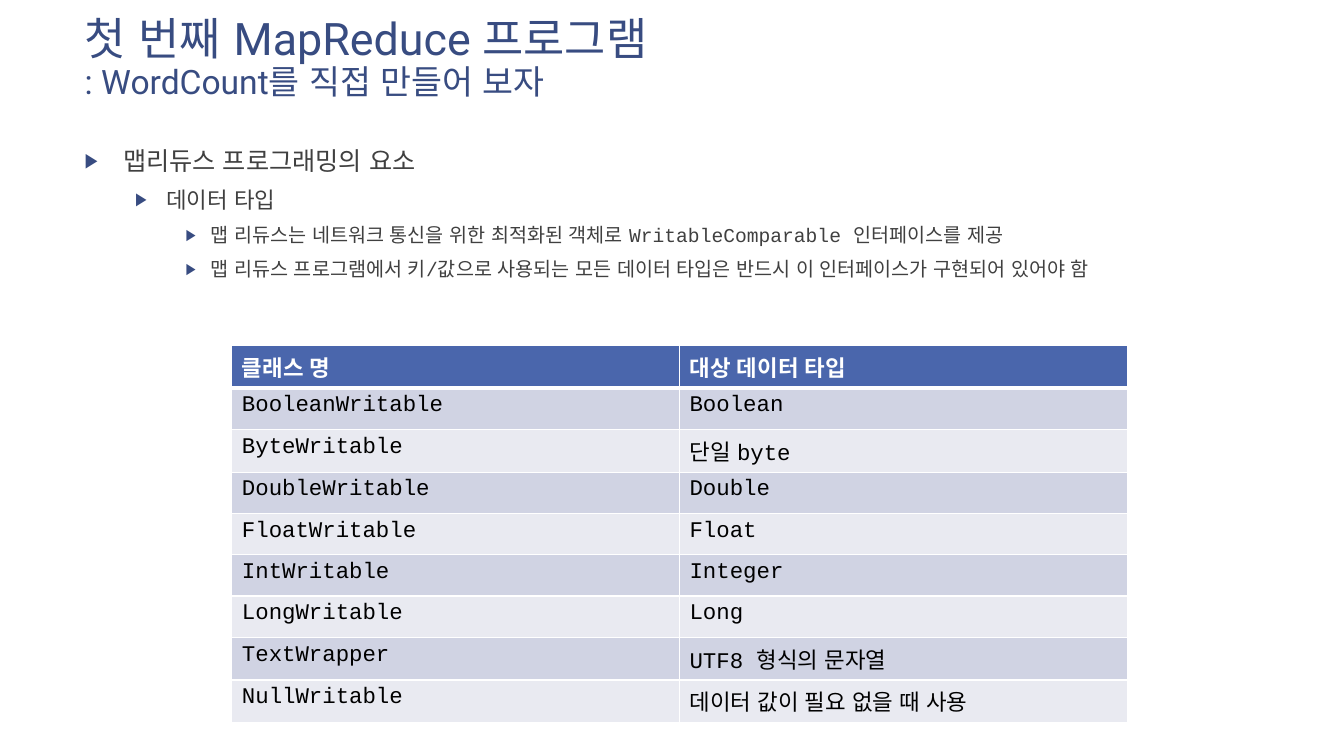
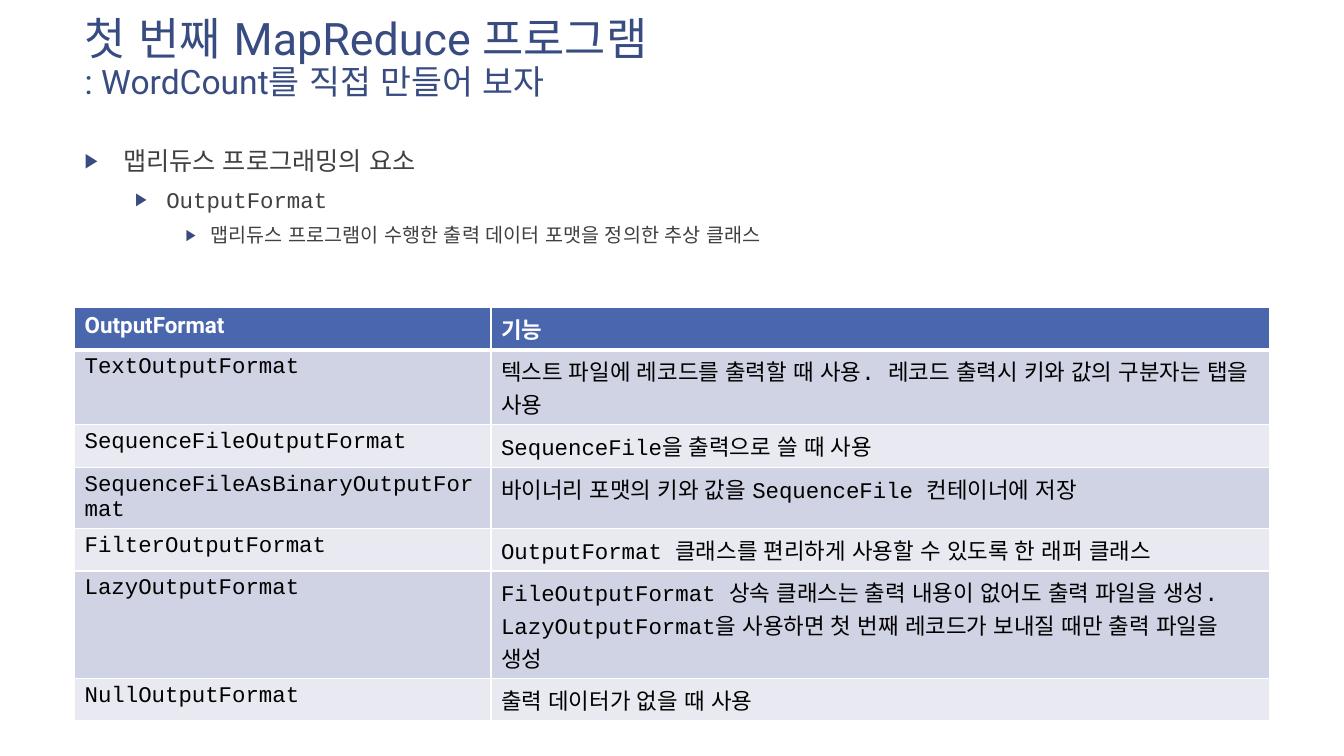
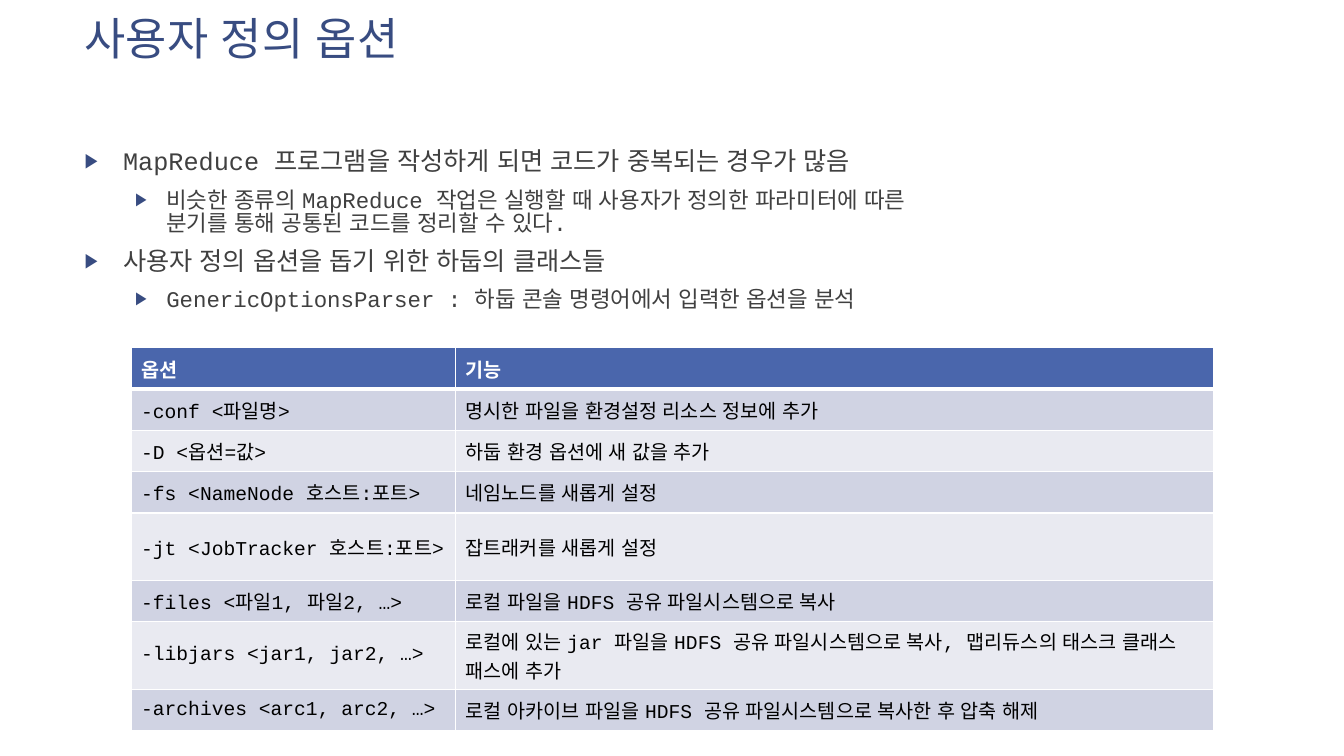
import copy
import dataclasses

import pptx
import pptx.dml.color
import pptx.enum.lang
import pptx.enum.text
import pptx.oxml
import pptx.oxml.ns
import pptx.util

PX = 9144  # 100 px to the inch


@dataclasses.dataclass(frozen=True)
class Theme:
    navy: str = "384C81"
    blue: str = "4A66AC"
    bands: tuple = ("D0D3E3", "E9EAF1")
    grey: str = "404040"
    black: str = "000000"
    white: str = "FFFFFF"
    sans: str = "Roboto"
    mono: str = "Courier New"
    head: int = 32
    sub: int = 24
    list: tuple = (18, 16, 14)
    indent: tuple = ((38, -38), (81, -31), (125, -25))


T = Theme()
rgb = pptx.dml.color.RGBColor.from_string
qn = pptx.oxml.ns.qn


def write(para, text, size, color, font=T.mono, bold=False):
    """Add text to a paragraph; each newline becomes a line break of the same format."""
    for i, line in enumerate(text.split("\n")):
        if i:
            para.add_line_break()
            para._p[-1].append(copy.deepcopy(run._r.rPr))
        run = para.add_run()
        run.text = line
        style = run.font
        style.name, style.size, style.bold = font, pptx.util.Pt(size), bold
        style.color.rgb = rgb(color)
        style.language_id = pptx.enum.lang.MSO_LANGUAGE_ID.KOREAN


def add_xml(parent, xml):
    space = pptx.oxml.ns.nsdecls("a")
    parent.append(pptx.oxml.parse_xml(xml.replace(" ", f" {space} ", 1)))


COUNT = ("첫 번째 MapReduce 프로그램\n", ": WordCount를 직접 만들어 보자")

PAGES = [
    dict(
        title=COUNT,
        body=(1075, 615),
        items=[
            (0, "맵리듀스 프로그래밍의 요소"),
            (1, "데이터 타입"),
            (2, "맵 리듀스는 네트워크 통신을 위한 최적화된 객체로 WritableComparable 인터페이스를 제공"),
            (2, "맵 리듀스 프로그램에서 키/값으로 사용되는 모든 데이터 타입은 반드시 이 인터페이스가 구현되어 있어야 함"),
        ],
        at=(230, 343), cols=(444, 444), size=16, anchor="TOP",
        rows=[
            ("클래스 명", "대상 데이터 타입"),
            ("BooleanWritable", "Boolean"),
            ("ByteWritable", "단일 byte"),
            ("DoubleWritable", "Double"),
            ("FloatWritable", "Float"),
            ("IntWritable", "Integer"),
            ("LongWritable", "Long"),
            ("TextWrapper", "UTF8 형식의 문자열"),
            ("NullWritable", "데이터 값이 필요 없을 때 사용"),
        ],
    ),
    dict(
        title=COUNT,
        body=(1075, 615),
        items=[
            (0, "맵리듀스 프로그래밍의 요소"),
            (1, "OutputFormat"),
            (2, "맵리듀스 프로그램이 수행한 출력 데이터 포맷을 정의한 추상 클래스"),
        ],
        at=(74, 305), cols=(413, 772), size=16, anchor="TOP",
        rows=[
            ("OutputFormat", "기능"),
            ("TextOutputFormat", "텍스트 파일에 레코드를 출력할 때 사용. 레코드 출력시 키와 값의 구분자는 탭을 사용"),
            ("SequenceFileOutputFormat", "SequenceFile을 출력으로 쓸 때 사용"),
            ("SequenceFileAsBinaryOutputFormat", "바이너리 포맷의 키와 값을 SequenceFile 컨테이너에 저장"),
            ("FilterOutputFormat", "OutputFormat 클래스를 편리하게 사용할 수 있도록 한 래퍼 클래스"),
            ("LazyOutputFormat", "FileOutputFormat 상속 클래스는 출력 내용이 없어도 출력 파일을 생성. "
             "LazyOutputFormat을 사용하면 첫 번째 레코드가 보내질 때만 출력 파일을 생성"),
            ("NullOutputFormat", "출력 데이터가 없을 때 사용"),
        ],
    ),
    dict(
        title=("사용자 정의 옵션",),
        body=(940, 516),
        items=[
            (0, "MapReduce 프로그램을 작성하게 되면 코드가 중복되는 경우가 많음"),
            (1, "비슷한 종류의 MapReduce 작업은 실행할 때 사용자가 정의한 파라미터에 따른\n"
             "분기를 통해 공통된 코드를 정리할 수 있다."),
            (0, "사용자 정의 옵션을 돕기 위한 하둡의 클래스들"),
            (1, "GenericOptionsParser : 하둡 콘솔 명령어에서 입력한 옵션을 분석"),
        ],
        at=(130, 345), cols=(322, 752), size=14, anchor="MIDDLE",
        rows=[
            ("옵션", "기능"),
            ("-conf <파일명>", "명시한 파일을 환경설정 리소스 정보에 추가"),
            ("-D <옵션=값>", "하둡 환경 옵션에 새 값을 추가"),
            ("-fs <NameNode 호스트:포트>", "네임노드를 새롭게 설정"),
            ("-jt <JobTracker 호스트:포트>", "잡트래커를 새롭게 설정"),
            ("-files <파일1, 파일2, …>", "로컬 파일을 HDFS 공유 파일시스템으로 복사"),
            ("-libjars <jar1, jar2, …>", "로컬에 있는 jar 파일을 HDFS 공유 파일시스템으로 복사, "
             "맵리듀스의 태스크 클래스 패스에 추가"),
            ("-archives <arc1, arc2, …>", "로컬 아카이브 파일을 HDFS 공유 파일시스템으로 복사한 후 압축 해제"),
        ],
    ),
]

deck = pptx.Presentation()
deck.slide_width, deck.slide_height = 1333 * PX, 750 * PX

for page in PAGES:
    slide = deck.slides.add_slide(deck.slide_layouts[1])
    title, body = slide.placeholders
    for holder, box in ((title, (74, 12, 940, 132)), (body, (74, 144, *page["body"]))):
        holder.left, holder.top, holder.width, holder.height = [n * PX for n in box]
        holder.text_frame.word_wrap = True
        holder.text_frame.auto_size = pptx.enum.text.MSO_AUTO_SIZE.NONE
        holder.text_frame.vertical_anchor = pptx.enum.text.MSO_ANCHOR.TOP

    # Title, with a smaller second line
    para = title.text_frame.paragraphs[0]
    para.alignment = pptx.enum.text.PP_ALIGN.LEFT
    para.line_spacing = 0.9
    for text, size in zip(page["title"], (T.head, T.sub)):
        write(para, text, size, T.navy, font=T.sans)

    # Bulleted list
    frame = body.text_frame
    for i, (level, text) in enumerate(page["items"]):
        para = frame.add_paragraph() if i else frame.paragraphs[0]
        para.level = level
        para.line_spacing = 0.85
        para.space_before = pptx.util.Pt(10)
        props = para._p.get_or_add_pPr()
        left, hang = T.indent[level]
        props.set("marL", str(left * PX))
        props.set("indent", str(hang * PX))
        add_xml(props, f'<a:buClr ><a:srgbClr val="{T.navy}"/></a:buClr>')
        add_xml(props, '<a:buSzPct val="80000"/>')
        add_xml(props, '<a:buFont typeface="Arial"/>')
        add_xml(props, '<a:buChar char="▶"/>')
        write(para, text, T.list[level], T.grey)

    # Table
    rows, cols = page["rows"], page["cols"]
    left, top = page["at"]
    table = slide.shapes.add_table(
        len(rows), len(cols), left * PX, top * PX, sum(cols) * PX, 41 * len(rows) * PX
    ).table
    for col, width in zip(table.columns, cols):
        col.width = width * PX
    for r, row in enumerate(rows):
        look = dict(color=T.black) if r else dict(color=T.white, font=T.sans, bold=True)
        for c, text in enumerate(row):
            cell = table.cell(r, c)
            cell.vertical_anchor = pptx.enum.text.MSO_ANCHOR[page["anchor"]]
            write(cell.text_frame.paragraphs[0], text, page["size"], **look)
            props = cell._tc.get_or_add_tcPr()
            for side in "LRTB":
                thick = (r, side) in ((0, "B"), (1, "T"))
                add_xml(props, f'<a:ln{side} w="{38100 if thick else 12700}"><a:solidFill>'
                        f'<a:srgbClr val="{T.white}"/></a:solidFill></a:ln{side}>')
            cell.fill.solid()
            cell.fill.fore_color.rgb = rgb(T.bands[(r - 1) % 2] if r else T.blue)

deck.save("out.pptx")
